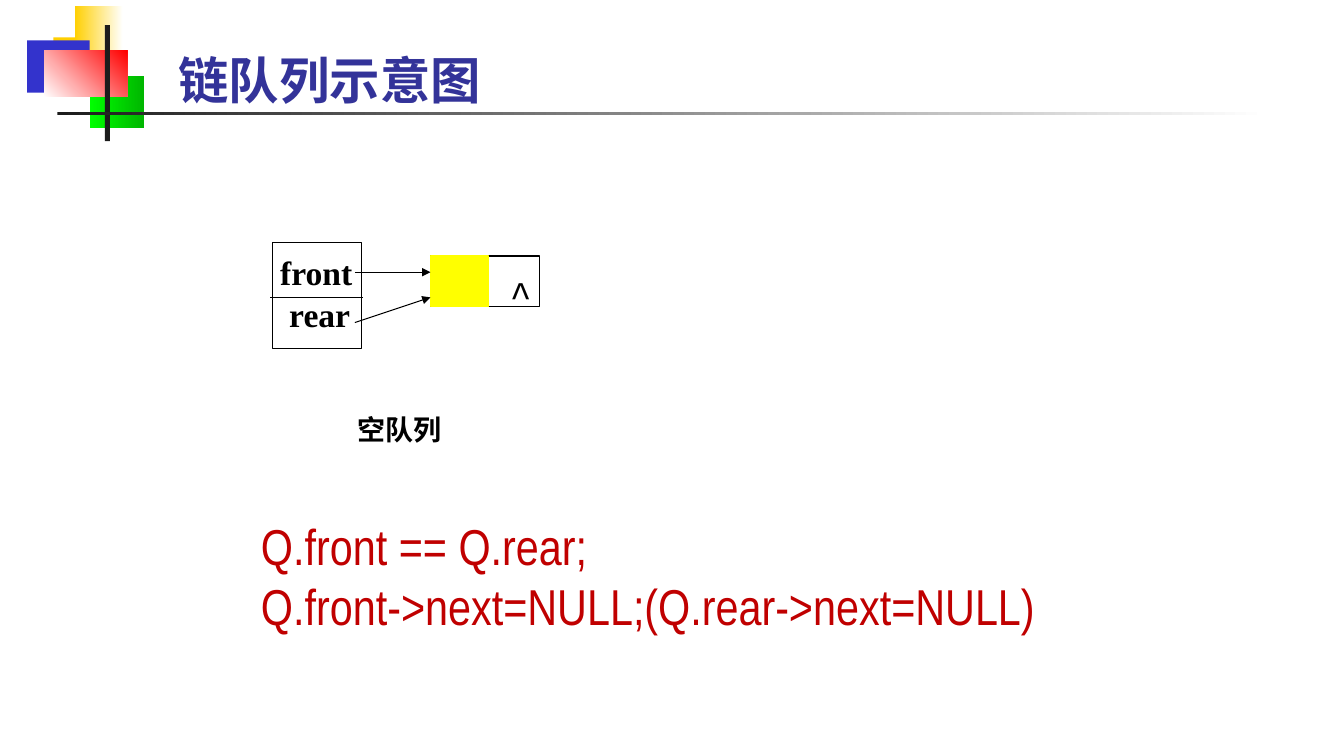
"""Build the slide that shows an empty linked queue."""
from lxml.etree import SubElement
from pptx import Presentation
from pptx.dml.color import RGBColor as RGB
from pptx.enum.shapes import MSO_CONNECTOR as CONN, MSO_SHAPE as SHAPE
from pptx.enum.text import MSO_ANCHOR as ANCHOR, MSO_AUTO_SIZE as AUTO, PP_ALIGN as ALIGN
from pptx.oxml.ns import qn
from pptx.util import Inches, Pt

C = {"gold": "FFCF01", "white": "FFFFFF", "blue": "3333CC", "lime": "00FF00",
     "green": "00B600", "red": "FF0000", "dark": "1C1C1C", "title": "333399",
     "black": "000000", "yellow": "FFFF00", "code": "C00000"}
NARROW, SERIF, CJK = "Arial Narrow", "Times New Roman", "Noto Sans CJK SC"

TITLE = "链队列示意图"
TITLE_AT = (1.67, 0.45, 8.5, 0.69)
TITLE_FORMAT = {"size": 36, "name": NARROW, "bold": True}

DECORATION = [
    ((0.53, 0.37, 0.64, 0.52), ("gold",), 0),
    ((0.74, 0.06, 0.48, 0.52), ("gold", "white"), 0),
    ((0.27, 0.4, 0.62, 0.52), ("blue",), 0),
    ((0.89, 0.75, 0.54, 0.52), ("lime", "green"), 0),
    ((0.44, 0.5, 0.82, 0.46), ("white", "red"), 45),
    ((1.04, 0.25, 0.05, 1.15), ("dark",), 0),
    ((0.57, 1.11, 12, 0.03), ("dark", "white"), 0),
]
BOXES = [
    ((2.7, 2.41, 0.89, 1.05), (), "black"),
    ((4.27, 2.54, 1.08, 0.5), (), "black"),
    ((4.27, 2.54, 0.58, 0.5), ("yellow",), "yellow"),
]
LINES = [
    ((2.68, 2.95, 3.6, 2.95), False),
    ((3.52, 2.7, 4.27, 2.7), True),
    ((3.52, 3.2, 4.27, 2.95), True),
]
TEXTS = [
    ((2.68, 2.45, 0.92, 0.5), ["front"], False, "black",
     {"size": 24, "name": SERIF, "bold": True}),
    ((2.77, 2.87, 0.81, 0.5), ["rear"], False, "black",
     {"size": 24, "name": SERIF, "bold": True}),
    ((3.45, 4.04, 1.04, 0.44), ["空队列"], False, "black",
     {"size": 20, "name": CJK, "bold": True}),
    ((4.98, 2.63, 0.45, 0.64), ["^"], True, "black",
     {"size": 32, "name": NARROW}),
    ((2.49, 5.06, 9.34, 1.31),
     ["Q.front == Q.rear;", "Q.front->next=NULL;(Q.rear->next=NULL)"], True, "code",
     {"size": 36, "name": NARROW}),
]


def rgb(name):
    return RGB.from_string(C[name])


def add_rect(s, at, fills, angle=0, line=None):
    sp = s.shapes.add_shape(SHAPE.RECTANGLE, *map(Inches, at))
    sp.shadow.inherit = False
    if len(fills) == 2:
        sp.fill.gradient()
        sp.fill.gradient_angle = angle
        for stop, name, pos in zip(sp.fill.gradient_stops, fills, (0, 1)):
            stop.color.rgb = rgb(name)
            stop.position = pos
    elif fills:
        sp.fill.solid()
        sp.fill.fore_color.rgb = rgb(fills[0])
    else:
        sp.fill.background()
    if line:
        sp.line.color.rgb = rgb(line)
        sp.line.width = Pt(0.75)
    else:
        sp.line.fill.background()


def add_line(s, ends, arrow):
    cx = s.shapes.add_connector(CONN.STRAIGHT, *map(Inches, ends))
    cx.line.color.rgb = rgb("black")
    cx.line.width = Pt(0.75)
    if arrow:
        SubElement(cx.line._get_or_add_ln(), qn("a:tailEnd"), type="triangle")
    SubElement(cx._element.spPr, qn("a:effectLst"))


def write(tf, lines, color, style):
    for i, line in enumerate(lines):
        p = tf.add_paragraph() if i else tf.paragraphs[0]
        p.alignment = ALIGN.LEFT
        r = p.add_run()
        r.text = line
        for key, value in style.items():
            setattr(r.font, key, Pt(value) if key == "size" else value)
        r.font.color.rgb = rgb(color)
        SubElement(r.font._element, qn("a:ea"), typeface=CJK)


def main():
    prs = Presentation()
    prs.slide_width, prs.slide_height = Inches(13.33), Inches(7.5)
    s = prs.slides.add_slide(prs.slide_layouts[5])

    for at, fills, angle in DECORATION:
        add_rect(s, at, fills, angle)

    title = s.shapes.title
    for key, value in zip(("left", "top", "width", "height"), TITLE_AT):
        setattr(title, key, Inches(value))
    tf = title.text_frame
    tf.auto_size = AUTO.NONE
    tf.vertical_anchor = ANCHOR.BOTTOM
    write(tf, [TITLE], "title", TITLE_FORMAT)

    for at, fills, line in BOXES:
        add_rect(s, at, fills, line=line)
    for ends, arrow in LINES:
        add_line(s, ends, arrow)
    for at, lines, wrap, color, style in TEXTS:
        tf = s.shapes.add_textbox(*map(Inches, at)).text_frame
        tf.word_wrap = wrap
        tf.auto_size = AUTO.SHAPE_TO_FIT_TEXT
        write(tf, lines, color, style)

    prs.save("out.pptx")


if __name__ == "__main__":
    main()
